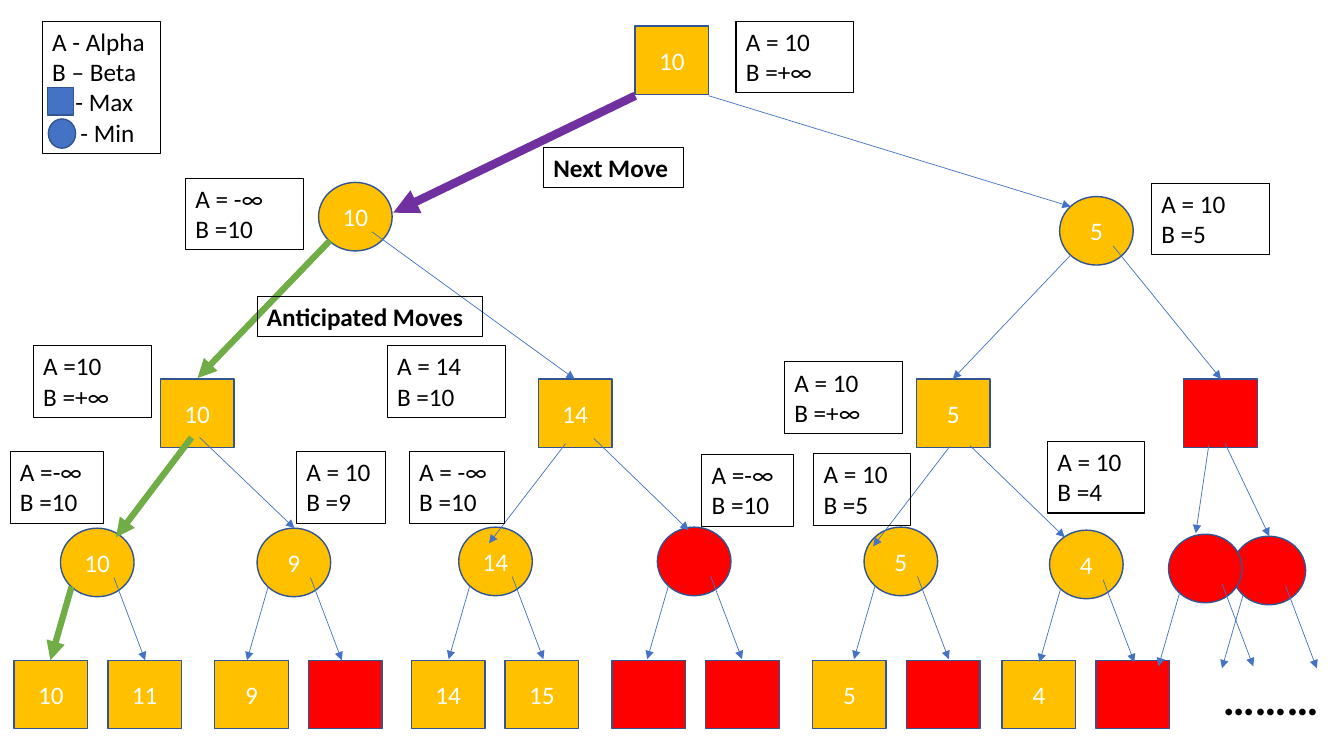
from lxml import etree
from pptx import Presentation
from pptx import util as u
from pptx.dml.color import RGBColor
from pptx.enum import shapes, text
from pptx.oxml import ns

GOLD = RGBColor(0xFF, 0xC0, 0x00)
RED = RGBColor(0xFF, 0x00, 0x00)
BLUE = RGBColor(0x44, 0x72, 0xC4)
NAVY = RGBColor(0x32, 0x54, 0x91)
GREEN = RGBColor(0x70, 0xAD, 0x47)
PURPLE = RGBColor(0x70, 0x30, 0xA0)
BLACK = RGBColor(0, 0, 0)
WHITE = RGBColor(0xFF, 0xFF, 0xFF)

SQUARE = shapes.MSO_SHAPE.RECTANGLE
CIRCLE = shapes.MSO_SHAPE.OVAL
NODE_WIDTH, NODE_HEIGHT = 0.73, 0.68


def write(frame, wording, size=18, font="Calibri", color=BLACK, bold=False,
          align=text.PP_ALIGN.LEFT, anchor=text.MSO_ANCHOR.TOP, indents=None):
    frame.word_wrap = True
    frame.vertical_anchor = anchor
    for index, line in enumerate(wording.split("\n")):
        para = frame.paragraphs[0] if index == 0 else frame.add_paragraph()
        para.alignment = align
        if indents and indents[index]:
            properties = para._p.get_or_add_pPr()
            properties.set("marL", str(u.Inches(indents[index])))
            properties.set("indent", "0")
        span = para.add_run()
        span.text = line
        span.font.name = font
        span.font.size = u.Pt(size)
        span.font.bold = bold
        span.font.color.rgb = color


class GameTree:
    def __init__(self, page):
        self.shapes = page.shapes

    def solid(self, kind, left, top, width, height, fill):
        shape = self.shapes.add_shape(kind, *map(u.Inches, (left, top, width, height)))
        shape.shadow.inherit = False
        shape.fill.solid()
        shape.fill.fore_color.rgb = fill
        shape.line.color.rgb = NAVY
        shape.line.width = u.Pt(1)
        return shape

    def node(self, kind, left, top, value):
        shape = self.solid(kind, left, top, NODE_WIDTH, NODE_HEIGHT, GOLD if value else RED)
        if value:
            write(shape.text_frame, value, color=WHITE, align=text.PP_ALIGN.CENTER,
                  anchor=text.MSO_ANCHOR.MIDDLE)

    def label(self, left, top, width, height, wording, border=True, **style):
        box = self.shapes.add_textbox(*map(u.Inches, (left, top, width, height)))
        write(box.text_frame, wording, **style)
        if border:
            box.line.color.rgb = BLACK
            box.line.width = u.Pt(0.75)

    def arrow(self, start, end, color=BLUE, width=0.5):
        line = self.shapes.add_connector(shapes.MSO_CONNECTOR.STRAIGHT,
                                         *map(u.Inches, (*start, *end)))
        line.line.color.rgb = color
        line.line.width = u.Pt(width)
        tail = etree.SubElement(line.line._get_or_add_ln(), ns.qn("a:tailEnd"))
        tail.set("type", "triangle")
        etree.SubElement(line._element.spPr, ns.qn("a:effectLst"))

    def fork(self, left, top, left_end=None, right_end=None, **left_style):
        left_end = left_end or (left - 0.1, top + 1.31)
        right_end = right_end or (left + 0.84, top + 1.31)
        self.arrow((left + 0.11, top + 0.58), left_end, **left_style)
        self.arrow((left + 0.53, top + 0.49), right_end)


deck = Presentation()
deck.slide_width = u.Inches(13.33)
deck.slide_height = u.Inches(7.5)
page = deck.slides.add_slide(deck.slide_layouts[6])
tree = GameTree(page)
chosen = {"color": GREEN, "width": 4.5}

leaf_pairs = [(0.14, "10", "11"), (2.13, "9", ""), (4.08, "14", "15"),
              (6.07, "", ""), (8.06, "5", ""), (9.94, "4", "")]
for left, *values in leaf_pairs:
    for index, value in enumerate(values):
        tree.node(SQUARE, left + 0.93 * index, 6.55, value)

min_nodes = [(0.6, 5.24, "10", chosen), (2.55, 5.24, "9", {}), (4.55, 5.23, "14", {}),
             (6.52, 5.23, "", {}), (8.57, 5.23, "5", {}), (10.41, 5.26, "4", {}),
             (12.22, 5.32, "", {}), (11.59, 5.3, "", {})]
for left, top, value, style in min_nodes:
    tree.node(CIRCLE, left, top, value)
    tree.fork(left, top, **style)

for left, value in [(1.59, "10"), (5.34, "14"), (9.09, "5"), (11.74, "")]:
    tree.node(SQUARE, left, 3.76, value)

tree.node(CIRCLE, 3.16, 1.81, "10")
tree.fork(3.16, 1.81, (1.96, 3.75), (5.7, 3.76), **chosen)
tree.node(CIRCLE, 10.51, 1.95, "5")
tree.fork(10.51, 1.95, (9.45, 3.76), (12.11, 3.76))
tree.node(SQUARE, 6.3, 0.26, "10")

tree.arrow((1.9, 4.34), (1.15, 5.33), **chosen)
for start, end in [((5.61, 4.4), (4.85, 5.39)), ((9.42, 4.43), (8.66, 5.42)),
                   ((11.99, 4.41), (11.86, 5.29)), ((1.98, 4.34), (2.92, 5.24)),
                   ((5.89, 4.35), (6.83, 5.26)), ((9.62, 4.42), (10.56, 5.33)),
                   ((12.15, 4.4), (12.59, 5.32)), ((7.03, 0.95), (10.62, 2.05))]:
    tree.arrow(start, end)
tree.arrow((6.3, 0.95), (3.9, 2.11), PURPLE, 6)

bounds = [(7.3, 0.21, 1.17, "A = 10\nB =+∞"), (1.84, 1.77, 1.17, "A = -∞\nB =10"),
          (11.42, 1.82, 1.17, "A = 10\nB =5"), (0.33, 3.43, 1.17, "A =10\nB =+∞"),
          (3.84, 3.43, 1.17, "A = 14\nB =10"), (7.78, 3.59, 1.17, "A = 10\nB =+∞"),
          (2.94, 4.48, 0.88, "A = 10\nB =9"), (4.06, 4.48, 0.94, "A = -∞\nB =10"),
          (6.96, 4.51, 0.91, "A =-∞\nB =10"), (8.07, 4.5, 0.96, "A = 10\nB =5"),
          (0.1, 4.48, 0.93, "A =-∞\nB =10"), (10.39, 4.38, 0.96, "A = 10\nB =4")]
for left, top, width, wording in bounds:
    tree.label(left, top, width, 0.71, wording)

tree.label(0.42, 0.21, 1.17, 1.31, "A - Alpha\nB – Beta\n- Max\n- Min",
           indents=(0, 0, 0.23, 0.28))
tree.solid(SQUARE, 0.47, 0.87, 0.26, 0.27, BLUE)
tree.solid(CIRCLE, 0.48, 1.18, 0.27, 0.29, BLUE)

tree.label(5.39, 1.46, 1.39, 0.4, "Next Move", bold=True)
tree.label(2.55, 2.94, 2.24, 0.4, "Anticipated Moves", bold=True)
tree.label(12.03, 6.6, 1.3, 0.64, "………", border=False, size=32, bold=True)

deck.save("out.pptx")
